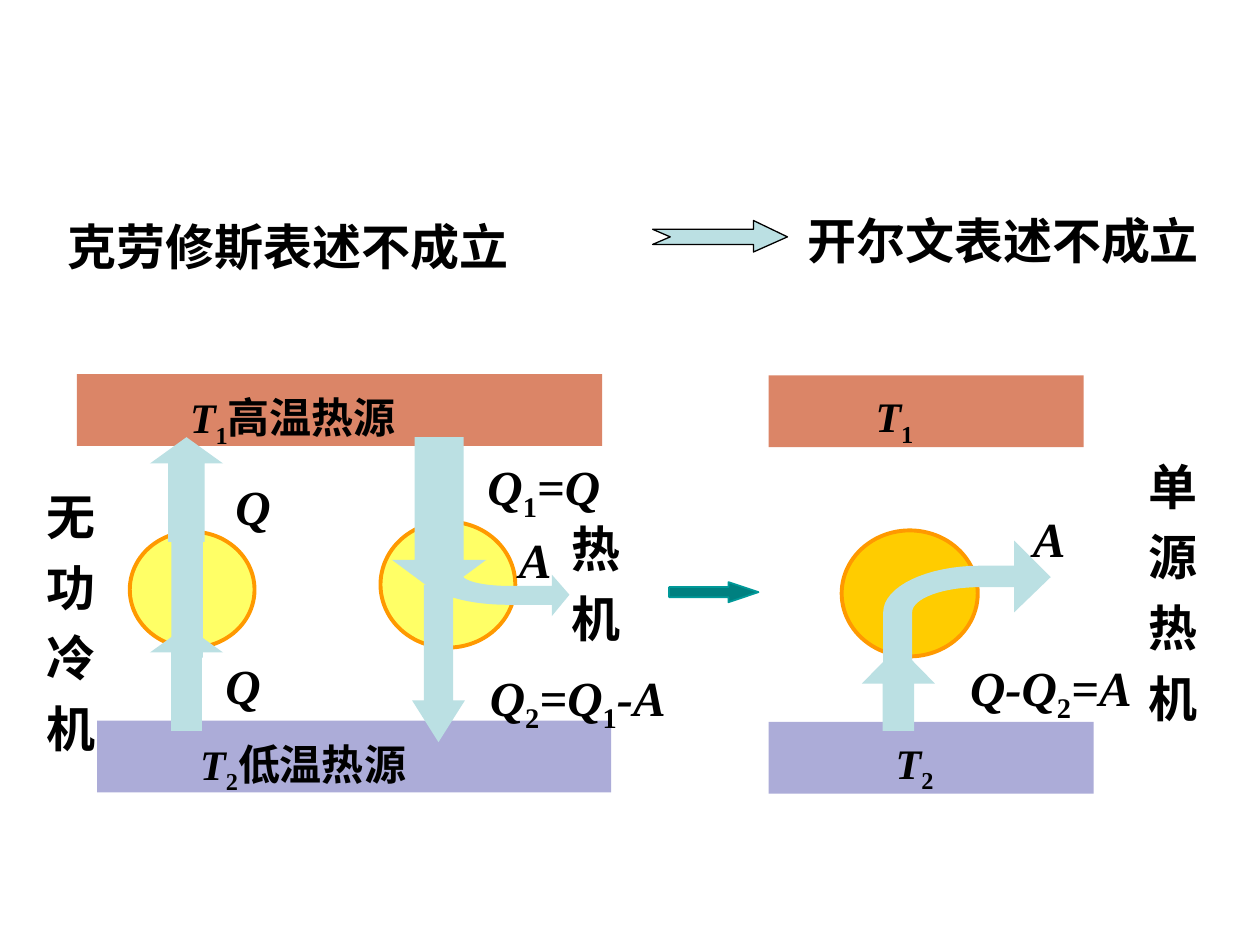
from dataclasses import dataclass

from pptx import Presentation
from pptx.dml.color import RGBColor
from pptx.enum import shapes, text
from pptx.util import Inches, Pt

KIND = shapes.MSO_SHAPE


@dataclass(frozen=True)
class Theme:
    font: str = "Times New Roman"
    ink: str = "000000"
    hot: str = "DB8567"
    cold: str = "ACACD8"
    flow: str = "BBE0E3"
    engine: str = "FFFF66"
    single_engine: str = "FFCC00"
    engine_edge: str = "FF9900"
    implies: str = "008080"
    implies_edge: str = "009999"
    large: int = 28
    small: int = 24


def write(paragraph, content, *, font, size, color, italic=False):
    """Add bold text; the character after each underscore becomes a subscript.

    Italics apply to Latin symbols only, never to subscripts or Chinese words.
    """
    first, *rest = content.split("_")
    pieces = [(first, False)]
    for part in rest:
        pieces += [(part[0], True), (part[1:], False)]
    for piece, lowered in pieces:
        if not piece:
            continue
        run = paragraph.add_run()
        run.text = piece
        run.font.name, run.font.size = font, Pt(size)
        run.font.bold = True
        run.font.italic = italic and not lowered and piece.isascii()
        run.font.color.rgb = RGBColor.from_string(color)
        if lowered:
            run.font._element.set("baseline", "-25000")


def bezier(start, control1, control2, end, steps=16):
    """Points along a cubic curve, without its start."""
    curve = []
    for step in range(1, steps + 1):
        t = step / steps
        weights = ((1 - t) ** 3, 3 * t * (1 - t) ** 2, 3 * t * t * (1 - t), t ** 3)
        curve.append(tuple(
            sum(w * p[axis] for w, p in zip(weights, (start, control1, control2, end)))
            for axis in (0, 1)))
    return curve


class Diagram:
    def __init__(self, slide, theme):
        self.slide, self.theme = slide, theme

    def paint(self, shape, fill, edge=None, weight=1):
        shape.shadow.inherit = False
        shape.fill.solid()
        shape.fill.fore_color.rgb = RGBColor.from_string(fill)
        if edge:
            shape.line.color.rgb = RGBColor.from_string(edge)
            shape.line.width = Pt(weight)
        else:
            shape.line.fill.background()

    def preset(self, kind, box, fill, edge=None, weight=1, adjust=()):
        shape = self.slide.shapes.add_shape(kind, *map(Inches, box))
        for index, value in enumerate(adjust):
            shape.adjustments[index] = value
        self.paint(shape, fill, edge, weight)

    def reservoir(self, box, fill):
        self.preset(KIND.RECTANGLE, box, fill)

    def engine(self, box, fill):
        self.preset(KIND.OVAL, box, fill, self.theme.engine_edge, 2.25)

    def arrow(self, kind, box, shaft, head):
        self.preset(kind, box, self.theme.flow, adjust=(shaft, head))

    def outline(self, points, edge=None, weight=1):
        start, *others = [(Inches(x), Inches(y)) for x, y in points]
        builder = self.slide.shapes.build_freeform(*start, scale=1.0)
        builder.add_line_segments(others, close=True)
        self.paint(builder.convert_to_shape(), self.theme.flow, edge, weight)

    def bent_arrow(self, tip, head_x, head_ends, shaft_ends, bend_x, bend_y,
                   inlet, inlet_y):
        """Arrow that enters vertically and turns to the right.

        head_ends and shaft_ends give outer and inner y; inlet gives outer and inner x.
        """
        (head_out, head_in), (out_y, in_y), (out_x, in_x) = head_ends, shaft_ends, inlet
        k = 0.55

        def mix(a, b):
            return a + k * (b - a)

        outer = bezier((bend_x, out_y), (mix(bend_x, out_x), out_y),
                       (out_x, mix(bend_y, out_y)), (out_x, bend_y))
        inner = bezier((in_x, bend_y), (in_x, mix(bend_y, in_y)),
                       (mix(bend_x, in_x), in_y), (bend_x, in_y))
        self.outline([tip, (head_x, head_out), (head_x, out_y), (bend_x, out_y), *outer,
                      (out_x, inlet_y), (in_x, inlet_y), (in_x, bend_y), *inner,
                      (head_x, in_y), (head_x, head_in)])

    def label(self, content, box, size=None, italic=False):
        frame = self.slide.shapes.add_textbox(*map(Inches, box)).text_frame
        frame.word_wrap = True
        frame.auto_size = text.MSO_AUTO_SIZE.SHAPE_TO_FIT_TEXT
        paragraph = frame.paragraphs[0]
        paragraph.line_spacing = 1.2
        write(paragraph, content, font=self.theme.font, size=size or self.theme.large,
              color=self.theme.ink, italic=italic)

    def symbol(self, content, box, size=None):
        self.label(content, box, size, italic=True)


def draw_statements(d):
    d.label("开尔文表述不成立", (6.31, 1.53, 3.45, 0.66))
    d.outline([(5.18, 1.82), (5.98, 1.82), (5.98, 1.75), (6.25, 1.88), (5.98, 2),
               (5.98, 1.94), (5.18, 1.94), (5.32, 1.88)], d.theme.ink, 0.75)
    d.label("克劳修斯表述不成立", (0.44, 1.58, 3.85, 0.66))
    d.preset(KIND.RIGHT_ARROW, (5.31, 4.62, 0.71, 0.16), d.theme.implies,
             d.theme.implies_edge, 1, (0.5, 1.49))


def draw_single_source_engine(d):
    theme = d.theme
    d.reservoir((6.1, 2.98, 2.5, 0.57), theme.hot)
    d.reservoir((6.1, 5.73, 2.58, 0.57), theme.cold)
    d.symbol("T_2", (7.01, 5.71, 0.55, 0.65), theme.small)
    d.symbol("A", (8.1, 3.89, 0.46, 0.66))
    d.symbol("Q-Q_2=A", (7.6, 5.06, 1.75, 0.74))
    d.engine((6.68, 4.21, 1.08, 1), theme.single_engine)
    d.bent_arrow((8.34, 4.58), 8.05, (4.29, 4.86), (4.49, 4.66), 7.78, 4.86,
                 (7.01, 7.24), 5.29)
    d.arrow(KIND.UP_ARROW, (6.84, 5.13, 0.58, 0.67), 0.43, 0.51)
    d.label("单源热机", (9.02, 3.48, 0.52, 2.34))
    d.symbol("T_1", (6.85, 2.96, 0.55, 0.65), theme.small)


def draw_combined_machines(d):
    theme = d.theme
    d.reservoir((0.61, 2.97, 4.17, 0.57), theme.hot)
    d.symbol("T_1高温热源", (1.41, 2.97, 2.05, 0.65), theme.small)
    d.reservoir((0.77, 5.72, 4.08, 0.57), theme.cold)
    d.symbol("T_2低温热源", (1.49, 5.72, 2.05, 0.65), theme.small)

    d.engine((3.02, 4.14, 1.07, 1), theme.engine)
    d.symbol("Q_2=Q_1-A", (3.79, 5.14, 1.7, 0.74))
    d.symbol("Q_1=Q", (3.77, 3.47, 1.42, 0.74))
    d.arrow(KIND.DOWN_ARROW, (3.27, 4.64, 0.42, 1.25), 0.55, 0.79)
    d.label("热机", (4.44, 3.97, 0.58, 1.22))

    d.engine((1.03, 4.22, 0.99, 0.92), theme.engine)
    for left, top in ((1.69, 5.06), (1.77, 3.64)):
        d.symbol("Q", (left, top, 0.52, 0.66))
    d.preset(KIND.RECTANGLE, (1.36, 4.22, 0.25, 1), theme.flow)
    for top, shaft in ((4.97, 0.42), (3.47, 0.5)):
        d.arrow(KIND.UP_ARROW, (1.19, top, 0.58, 0.83), shaft, 0.36)
    d.label("无功冷机", (0.27, 3.72, 0.6, 2.34))

    d.bent_arrow((4.52, 4.72), 4.38, (4.89, 4.56), (4.8, 4.65), 4.03, 4.56,
                 (3.36, 3.67), 4.3)
    d.arrow(KIND.DOWN_ARROW, (3.11, 3.47, 0.75, 1.25), 0.52, 0.37)
    d.symbol("A", (4.02, 4.06, 0.48, 0.66))


def main():
    deck = Presentation()
    deck.slide_width, deck.slide_height = Inches(10), Inches(7.5)
    diagram = Diagram(deck.slides.add_slide(deck.slide_layouts[6]), Theme())
    draw_statements(diagram)
    draw_single_source_engine(diagram)
    draw_combined_machines(diagram)
    deck.save("out.pptx")


if __name__ == "__main__":
    main()
